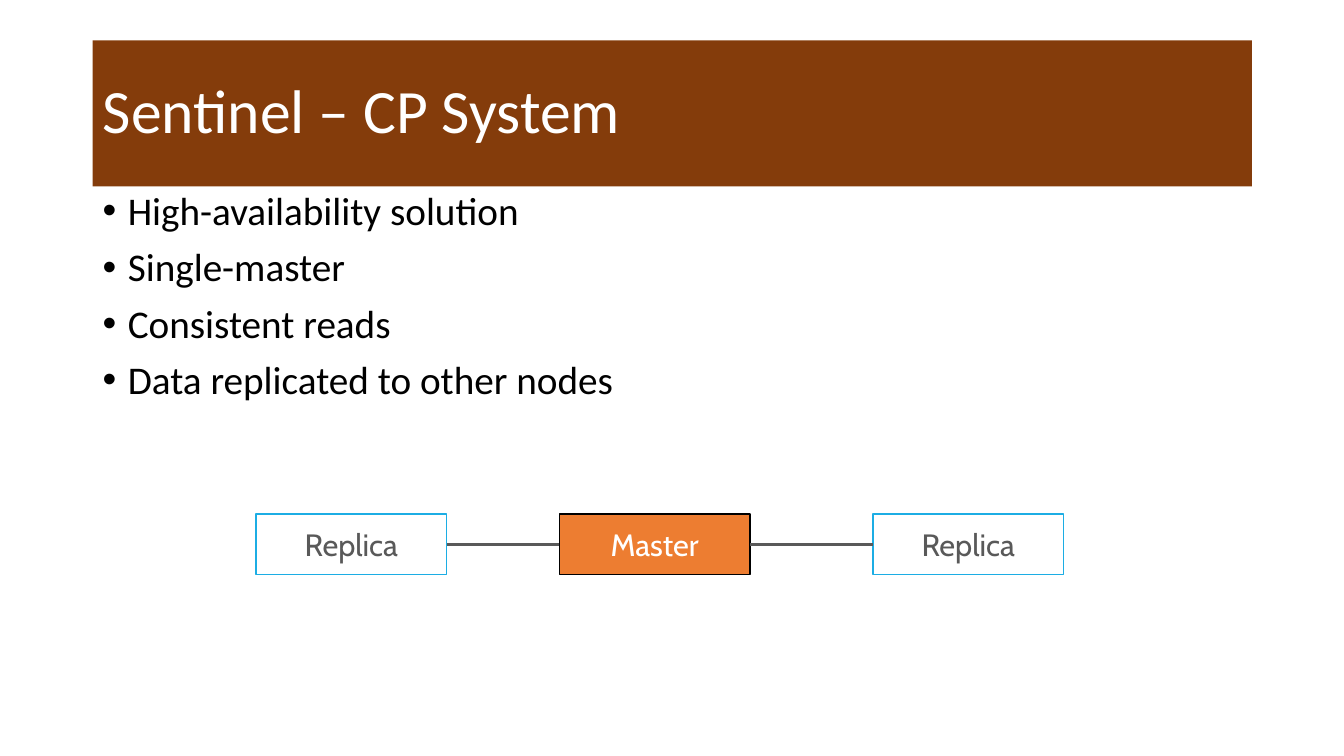
from dataclasses import dataclass
from itertools import pairwise

from lxml.etree import SubElement
from pptx import Presentation
from pptx.dml.color import RGBColor
from pptx.enum.shapes import MSO_CONNECTOR, MSO_SHAPE
from pptx.enum.text import MSO_ANCHOR, MSO_AUTO_SIZE, PP_ALIGN
from pptx.oxml.ns import qn
from pptx.shapes.autoshape import Shape
from pptx.slide import Slide
from pptx.text.text import TextFrame, _Paragraph
from pptx.util import Inches, Pt

COLOURS = {
    "brown": "843C0B",
    "orange": "ED7D31",
    "blue": "1CADE4",
    "grey": "595959",
    "black": "000000",
    "white": "FFFFFF",
}

# The grid has cells of a tenth of an inch.
CELL = Inches(0.1)
SLIDE_COLUMNS, SLIDE_ROWS = 133.33, 75
MARGIN_COLUMN, CONTENT_COLUMNS = 9.2, 115
TITLE_ROW, TITLE_ROWS = 4, 14.5
BODY_ROW, BODY_ROWS = TITLE_ROW + TITLE_ROWS, 49.1
NODE_ROW, NODE_COLUMNS, NODE_ROWS = 51, 18.9, 6

BULLETS = [
    "High-availability solution",
    "Single-master",
    "Consistent reads",
    "Data replicated to other nodes",
]


@dataclass(frozen=True)
class Node:
    label: str
    column: float
    outline: str = "blue"
    text: str = "grey"
    fill: str | None = None


NODES = [
    Node("Replica", 25.4),
    Node("Master", 55.5, outline="black", text="white", fill="orange"),
    Node("Replica", 86.6),
]


def cells(count: float) -> int:
    return round(count * CELL)


def grid_box(column: float, row: float, columns: float, rows: float) -> tuple[int, ...]:
    return tuple(cells(count) for count in (column, row, columns, rows))


def colour(name: str) -> RGBColor:
    return RGBColor.from_string(COLOURS[name])


def format_text(paragraph: _Paragraph, font: str, size: float, ink: str) -> None:
    paragraph.font.name = font
    paragraph.font.size = Pt(size)
    paragraph.font.color.rgb = colour(ink)


def add_bullet(paragraph: _Paragraph) -> None:
    properties = paragraph._p.get_or_add_pPr()
    properties.set("marL", str(Inches(0.25)))
    properties.set("indent", str(-Inches(0.25)))
    SubElement(properties, qn("a:buFont"), typeface="Arial")
    SubElement(properties, qn("a:buChar"), char="•")


def format_title(slide: Slide) -> None:
    title = slide.shapes.title
    title.left, title.top, title.width, title.height = grid_box(
        MARGIN_COLUMN, TITLE_ROW, CONTENT_COLUMNS, TITLE_ROWS
    )
    title.fill.solid()
    title.fill.fore_color.rgb = colour("brown")
    frame: TextFrame = title.text_frame
    frame.text = "Sentinel – CP System"
    frame.auto_size = MSO_AUTO_SIZE.NONE
    frame.vertical_anchor = MSO_ANCHOR.MIDDLE
    paragraph = frame.paragraphs[0]
    paragraph.alignment = PP_ALIGN.LEFT
    paragraph.line_spacing = 0.9
    format_text(paragraph, "Calibri", 44, "white")


def add_bullet_list(slide: Slide) -> None:
    box = slide.shapes.add_textbox(
        *grid_box(MARGIN_COLUMN, BODY_ROW, CONTENT_COLUMNS, BODY_ROWS)
    )
    frame = box.text_frame
    frame.word_wrap = True
    frame.text = "\n".join(BULLETS)
    for index, paragraph in enumerate(frame.paragraphs):
        paragraph.line_spacing = 0.9
        paragraph.space_before = Pt(10 if index else 0)
        add_bullet(paragraph)
        format_text(paragraph, "Calibri", 28, "black")


def add_node(slide: Slide, node: Node) -> Shape:
    shape = slide.shapes.add_shape(
        MSO_SHAPE.RECTANGLE, *grid_box(node.column, NODE_ROW, NODE_COLUMNS, NODE_ROWS)
    )
    shape.shadow.inherit = False
    if node.fill:
        shape.fill.solid()
        shape.fill.fore_color.rgb = colour(node.fill)
    else:
        shape.fill.background()
    shape.line.color.rgb = colour(node.outline)
    shape.line.width = Pt(1)
    shape.text_frame.text = node.label
    shape.text_frame.vertical_anchor = MSO_ANCHOR.MIDDLE
    paragraph = shape.text_frame.paragraphs[0]
    paragraph.alignment = PP_ALIGN.CENTER
    format_text(paragraph, "Cabin", 22, node.text)
    return shape


def link_nodes(slide: Slide, left: Shape, right: Shape) -> None:
    """Join the left side of one node to the right side of the node before it."""
    connector = slide.shapes.add_connector(MSO_CONNECTOR.STRAIGHT, 0, 0, 0, 0)
    connector.begin_connect(right, 1)
    connector.end_connect(left, 3)
    connector.line.color.rgb = colour("grey")
    connector.line.width = Pt(2)
    SubElement(connector._element.spPr, qn("a:effectLst"))


def main() -> None:
    presentation = Presentation()
    presentation.slide_width = cells(SLIDE_COLUMNS)
    presentation.slide_height = cells(SLIDE_ROWS)
    slide = presentation.slides.add_slide(presentation.slide_layouts[5])
    format_title(slide)
    add_bullet_list(slide)
    shapes = [add_node(slide, node) for node in NODES]
    for left, right in pairwise(shapes):
        link_nodes(slide, left, right)
    presentation.save("out.pptx")


if __name__ == "__main__":
    main()
